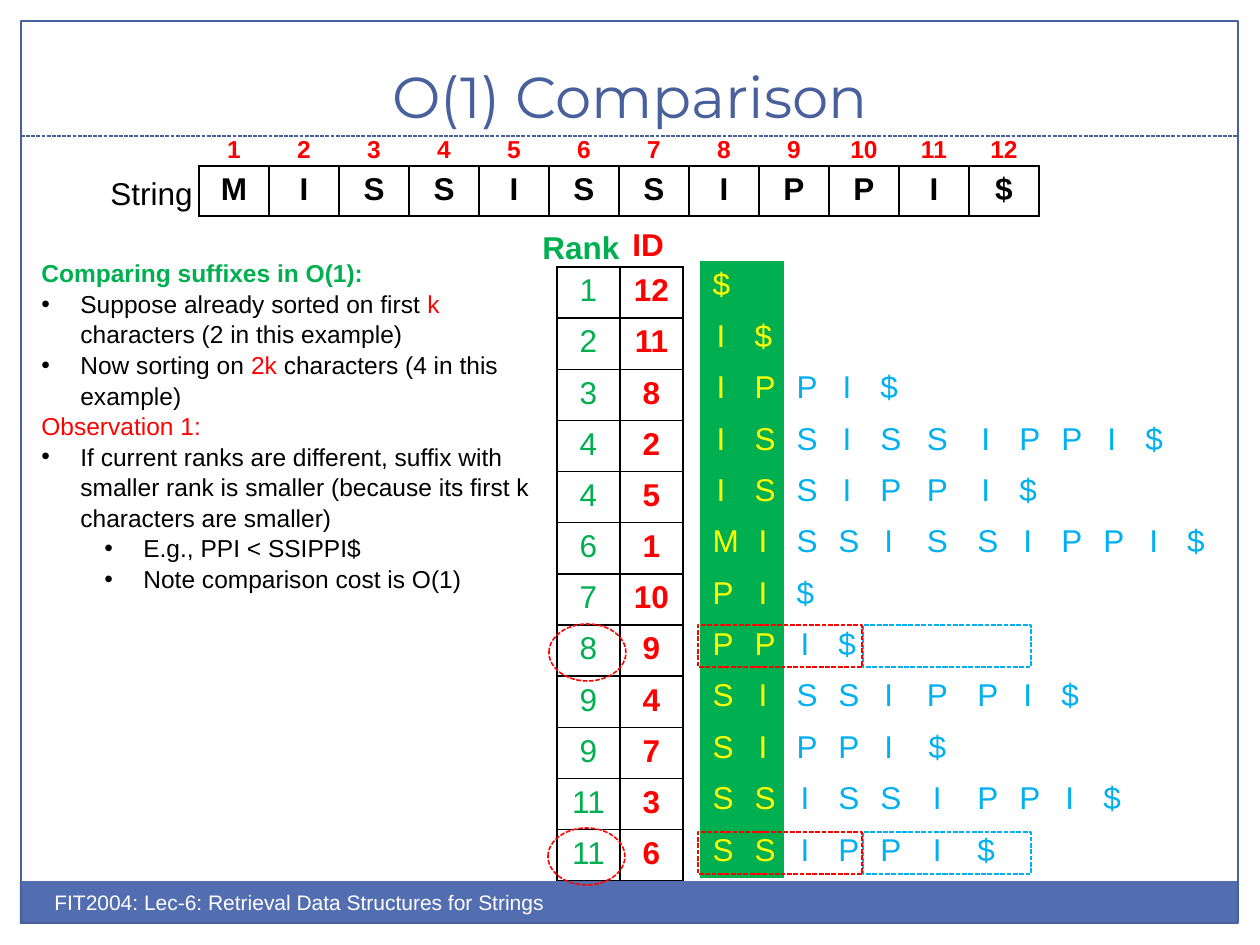
from typing import NamedTuple, Optional

from lxml import etree
from pptx import Presentation
from pptx.dml.color import RGBColor
from pptx.enum import dml, shapes, text
from pptx.oxml import ns
from pptx import util as u

PX = 914400 / 126
WORD = "MISSISSIPPI$"
RANKS = [1, 2, 3, 4, 4, 6, 7, 8, 9, 9, 11, 11]
SUFFIX_IDS = [12, 11, 8, 2, 5, 1, 10, 9, 4, 7, 3, 6]
SORTED_CHARS = 2
BLACK, WHITE, RED, GREEN = "000000", "FFFFFF", "FF0000", "00B050"
BLUE, YELLOW, NAVY, BAR = "00B0F0", "FFFF00", "48609B", "526DB0"
NO_GRID_STYLE = "{2D5ABB26-0587-4C30-8999-92F81FD0307C}"
ALIGN = text.PP_ALIGN


class Frame(NamedTuple):
    left: int
    top: int
    width: int
    height: int


class Span(NamedTuple):
    words: str
    color: str = BLACK
    size: int = 18
    bold: bool = False
    font: str = "Arial"


class Entry(NamedTuple):
    spans: list[Span]
    margin: int = 0
    level: int = 0


class Label(NamedTuple):
    frame: Frame
    span: Span
    align: ALIGN = ALIGN.LEFT
    wrap: bool = False
    anchor: text.MSO_ANCHOR = text.MSO_ANCHOR.TOP


class Outline(NamedTuple):
    kind: shapes.MSO_SHAPE
    frame: Frame
    color: str
    dashed: bool = True
    points: float = 0.9


class Cell(NamedTuple):
    span: Optional[Span] = None
    fill: Optional[str] = None


def px(length: float) -> int:
    return u.Emu(round(length * PX))


def rgb(color: str) -> RGBColor:
    return RGBColor.from_string(color)


def place(frame: Frame) -> list[int]:
    return [px(length) for length in frame]


def write(para, spans: list[Span]) -> None:
    for span in spans:
        run = para.add_run()
        run.text = span.words
        values = {"name": span.font, "size": u.Pt(span.size), "bold": span.bold}
        for name, value in values.items():
            setattr(run.font, name, value)
        run.font.color.rgb = rgb(span.color)


def add_label(page, label: Label) -> None:
    body = page.shapes.add_textbox(*place(label.frame)).text_frame
    body.word_wrap = label.wrap
    body.vertical_anchor = label.anchor
    body.paragraphs[0].alignment = label.align
    write(body.paragraphs[0], [label.span])


def add_notes_box(page, frame: Frame, entries: list[Entry]) -> None:
    body = page.shapes.add_textbox(*place(frame)).text_frame
    body.word_wrap = True
    for index, entry in enumerate(entries):
        para = body.add_paragraph() if index else body.paragraphs[0]
        para.level = entry.level
        para.line_spacing = 1.04
        write(para, entry.spans)
        if entry.margin:
            props = para._p.get_or_add_pPr()
            props.set("marL", str(px(entry.margin)))
            props.set("indent", str(px(-39)))
            etree.SubElement(props, ns.qn("a:buFont"), typeface="Arial")
            etree.SubElement(props, ns.qn("a:buChar"), char="•")


def style_line(line, color: str, points: float, dashed: bool) -> None:
    line.color.rgb = rgb(color)
    line.width = u.Pt(points)
    if dashed:
        line.dash_style = dml.MSO_LINE.SQUARE_DOT


def add_outline(page, outline: Outline) -> None:
    shape = page.shapes.add_shape(outline.kind, *place(outline.frame))
    shape.shadow.inherit = False
    shape.fill.background()
    style_line(shape.line, outline.color, outline.points, outline.dashed)


def add_borders(cell) -> None:
    props = cell._tc.get_or_add_tcPr()
    for side in ("lnL", "lnR", "lnT", "lnB"):
        border = etree.SubElement(props, ns.qn(f"a:{side}"), w=str(u.Pt(1)))
        fill = etree.SubElement(border, ns.qn("a:solidFill"))
        etree.SubElement(fill, ns.qn("a:srgbClr"), val=BLACK)


def add_grid(page, frame: Frame, widths: list[int], rows: list[list[Cell]],
             bordered: bool) -> None:
    holder = page.shapes.add_table(len(rows), len(widths), *place(frame))
    table = holder.table
    table.first_row = table.horz_banding = False
    table._tbl.tblPr.find(ns.qn("a:tableStyleId")).text = NO_GRID_STYLE
    for column, width in zip(table.columns, widths):
        column.width = px(width)
    for row, entries in zip(table.rows, rows):
        row.height = px(frame.height / len(rows))
        for cell, entry in zip(row.cells, entries):
            if bordered:
                add_borders(cell)
            if entry.fill:
                cell.fill.solid()
                cell.fill.fore_color.rgb = rgb(entry.fill)
            else:
                cell.fill.background()
            if entry.span:
                para = cell.text_frame.paragraphs[0]
                para.alignment = ALIGN.CENTER
                write(para, [entry.span])


def suffix_row(suffix_id: int) -> list[Cell]:
    """Cells of one suffix, with its already sorted characters highlighted."""
    row = []
    for index, letter in enumerate(WORD[suffix_id - 1:].ljust(len(WORD))):
        is_sorted = index < SORTED_CHARS
        span = Span(letter, YELLOW if is_sorted else BLUE)
        row.append(Cell(span if letter.strip() else None, GREEN if is_sorted else None))
    return row


def add_frame(page) -> None:
    bar = page.shapes.add_shape(shapes.MSO_SHAPE.RECTANGLE, *place(Frame(20, 881, 1217, 43)))
    bar.shadow.inherit = False
    bar.fill.solid()
    bar.fill.fore_color.rgb = rgb(BAR)
    bar.line.fill.background()
    add_outline(page, Outline(shapes.MSO_SHAPE.RECTANGLE, Frame(21, 21, 1217, 902), NAVY, False, 0.75))
    divider = page.shapes.add_connector(
        shapes.MSO_CONNECTOR.STRAIGHT, px(21), px(136), px(1238), px(136))
    etree.SubElement(divider._element.spPr, ns.qn("a:effectLst"))
    style_line(divider.line, NAVY, 0.75, True)


def note(words: str, color: str = BLACK, bold: bool = False) -> Span:
    return Span(words, color, 14, bold)


NOTES = [
    Entry([note("Comparing suffixes in O(1):", GREEN, True)]),
    Entry([note("Suppose already sorted on first "), note("k", RED),
           note(" characters (2 in this example)")], 39),
    Entry([note("Now sorting on "), note("2k", RED),
           note(" characters (4 in this example)")], 39),
    Entry([note("Observation 1:", RED)]),
    Entry([note("If current ranks are different, suffix with smaller rank is smaller "
                "(because its first k characters are smaller)")], 39),
    Entry([note("E.g., PPI < SSIPPI$")], 102, 1),
    Entry([note("Note comparison cost is O(1)")], 102, 1),
]
LABELS = [
    Label(Frame(42, 31, 1176, 105), Span("O(1) Comparison", NAVY, 33, font="Montserrat"),
          ALIGN.CENTER, True, text.MSO_ANCHOR.BOTTOM),
    Label(Frame(42, 883, 630, 50),
          Span("FIT2004: Lec-6: Retrieval Data Structures for Strings", WHITE, 12), wrap=True),
    Label(Frame(98, 168, 108, 50), Span("String")),
    Label(Frame(620, 219, 57, 50), Span("ID", RED, bold=True)),
    Label(Frame(530, 222, 103, 50), Span("Rank", GREEN, bold=True)),
]


def main() -> None:
    deck = Presentation()
    deck.slide_width, deck.slide_height = px(1260), px(945)
    page = deck.slides.add_slide(deck.slide_layouts[6])
    add_frame(page)

    letters = [Cell(Span(letter, bold=True)) for letter in WORD]
    positions = [Cell(note(str(place_no), RED, True)) for place_no in range(1, len(WORD) + 1)]
    ranking = [[Cell(Span(str(rank), GREEN)), Cell(Span(str(suffix_id), RED, bold=True))]
               for rank, suffix_id in zip(RANKS, SUFFIX_IDS)]
    suffixes = [suffix_row(suffix_id) for suffix_id in SUFFIX_IDS]
    add_grid(page, Frame(199, 166, 840, 50), [70] * 12, [letters], True)
    add_grid(page, Frame(199, 130, 840, 50), [70] * 12, [positions], False)
    add_grid(page, Frame(557, 267, 126, 614), [63] * 2, ranking, True)
    add_grid(page, Frame(700, 261, 517, 617), [42] * 5 + [55] + [42] * 6, suffixes, False)

    for label in LABELS:
        add_label(page, label)
    add_notes_box(page, Frame(29, 251, 527, 398), NOTES)
    for left, top in ((549, 624), (548, 828)):
        add_outline(page, Outline(shapes.MSO_SHAPE.OVAL, Frame(left, top, 77, 57), RED))
    for top in (832, 625):
        for left, width, color in ((863, 168, BLUE), (698, 164, RED)):
            add_outline(page, Outline(shapes.MSO_SHAPE.RECTANGLE, Frame(left, top, width, 42), color))
    deck.save("out.pptx")


if __name__ == "__main__":
    main()
